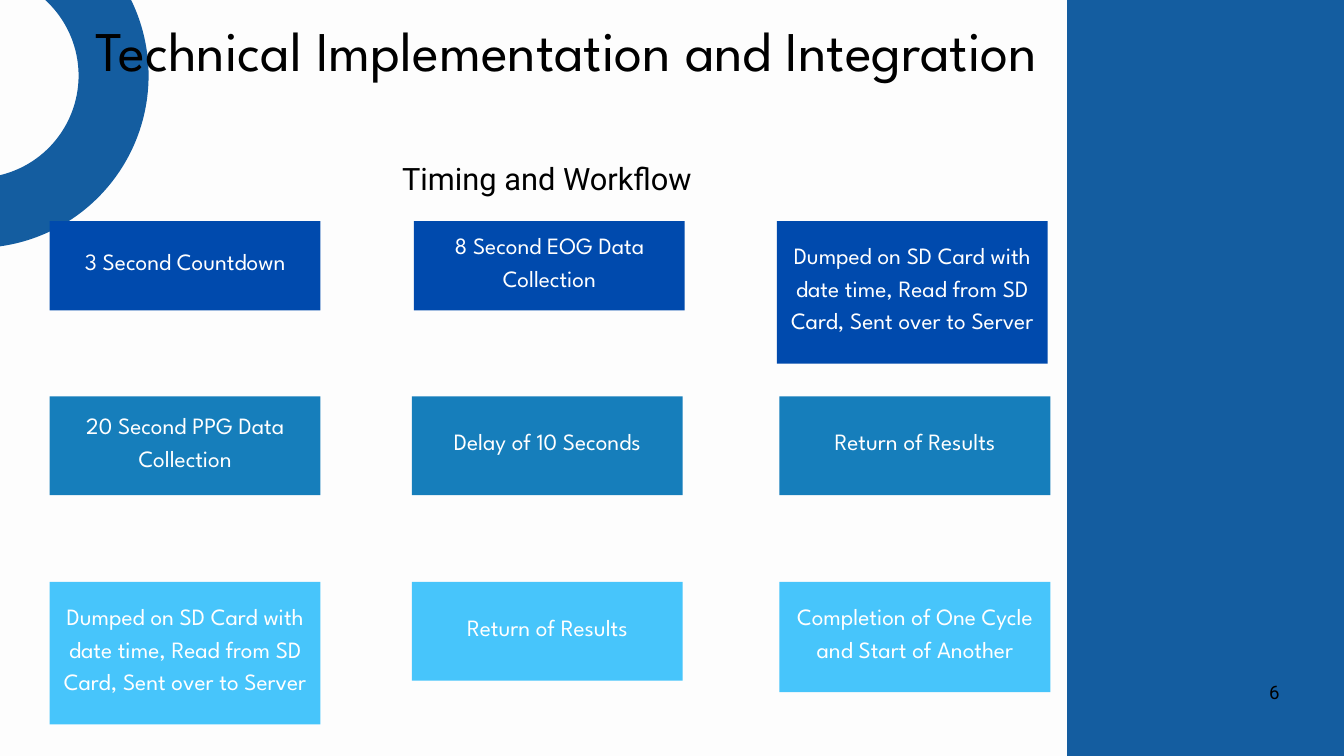
from dataclasses import dataclass

from pptx import Presentation
from pptx.dml.color import RGBColor
from pptx.enum.shapes import MSO_SHAPE as Shape
from pptx.enum.text import MSO_ANCHOR as Anchor, MSO_AUTO_SIZE as AutoSize, PP_ALIGN as Align
from pptx.slide import Slide
from pptx.text.text import TextFrame
from pptx.util import Inches, Pt

COLORS = {
    "background": "FDFDFD",
    "panel": "145DA0",
    "row1": "004AAD",
    "row2": "167EBB",
    "row3": "47C5FB",
    "white": "FFFFFF",
    "black": "000000",
}
DISPLAY, BODY = "League Spartan", "Roboto"
STEP_WIDTH = 4.03
ROW_TOPS = {"row1": 3.29, "row2": 5.9, "row3": 8.66}
SAVE_AND_SEND = "Dumped on SD Card with date time, Read from SD Card, Sent over to Server"


@dataclass
class Step:
    text: str
    row: str
    left: float
    height: float


@dataclass
class Label:
    text: str
    left: float
    top: float
    width: float
    height: float
    size: float
    font: str
    wrap: bool = True


STEPS = [
    Step("3 Second Countdown", "row1", 0.74, 1.33),
    Step("8 Second EOG Data Collection", "row1", 6.16, 1.33),
    Step(SAVE_AND_SEND, "row1", 11.56, 2.12),
    Step("20 Second PPG Data Collection", "row2", 0.74, 1.47),
    Step("Delay of 10 Seconds", "row2", 6.13, 1.47),
    Step("Return of Results", "row2", 11.6, 1.47),
    Step(SAVE_AND_SEND, "row3", 0.74, 2.12),
    Step("Return of Results", "row3", 6.13, 1.47),
    Step("Completion of One Cycle and Start of Another", "row3", 11.6, 1.64),
]
LABELS = [
    Label("Timing and Workflow", 1.12, 2.29, 14.04, 0.62, 33, BODY),
    Label("Technical Implementation and Integration", 1.23, 0.06, 14.4, 2.3, 60, DISPLAY),
    Label("6", 18.88, 10.07, 0.17, 0.22, 20, BODY, wrap=False),
]


def rgb(name: str) -> RGBColor:
    return RGBColor.from_string(COLORS[name])


def set_text(tf: TextFrame, text: str, size: float, font: str, color: str) -> None:
    p = tf.paragraphs[0]
    p.text = text
    p.alignment = Align.CENTER
    p.line_spacing = Pt(size * 1.4)
    p.font.size = Pt(size)
    p.font.name = font
    p.font.color.rgb = rgb(color)


def set_insets(tf: TextFrame, side: float, bottom: float) -> None:
    tf.margin_left = tf.margin_right = tf.margin_top = Inches(side)
    tf.margin_bottom = Inches(bottom)


def add_block(s: Slide, left: float, top: float, width: float, height: float, color: str):
    sp = s.shapes.add_shape(
        Shape.RECTANGLE, Inches(left), Inches(top), Inches(width), Inches(height)
    )
    sp.shadow.inherit = False
    sp.fill.solid()
    sp.fill.fore_color.rgb = rgb(color)
    sp.line.fill.background()
    return sp


def add_ring(s: Slide, left: float, top: float, size: float) -> None:
    sp = s.shapes.add_shape(Shape.OVAL, Inches(left), Inches(top), Inches(size), Inches(size))
    sp.shadow.inherit = False
    sp.fill.background()
    sp.line.color.rgb = rgb("panel")
    sp.line.width = Pt(75)


def add_step(s: Slide, step: Step) -> None:
    sp = add_block(s, step.left, ROW_TOPS[step.row], STEP_WIDTH, step.height, step.row)
    tf = sp.text_frame
    tf.word_wrap = True
    tf.vertical_anchor = Anchor.MIDDLE
    set_insets(tf, 0.06, 0.26)
    set_text(tf, step.text, 25, DISPLAY, "white")


def add_label(s: Slide, label: Label) -> None:
    sp = s.shapes.add_textbox(
        Inches(label.left), Inches(label.top), Inches(label.width), Inches(label.height)
    )
    tf = sp.text_frame
    tf.word_wrap = label.wrap
    tf.auto_size = AutoSize.SHAPE_TO_FIT_TEXT
    set_insets(tf, 0, 0)
    set_text(tf, label.text, label.size, label.font, "black")


def main() -> None:
    prs = Presentation()
    prs.slide_width, prs.slide_height = Inches(20), Inches(11.25)
    s = prs.slides.add_slide(prs.slide_layouts[6])
    s.background.fill.solid()
    s.background.fill.fore_color.rgb = rgb("background")

    add_block(s, 15.88, -0.34, 4.34, 11.94, "panel")
    add_ring(s, -2.4, -0.92, 4.09)
    for step in STEPS:
        add_step(s, step)
    for label in LABELS:
        add_label(s, label)
    prs.save("out.pptx")


if __name__ == "__main__":
    main()
